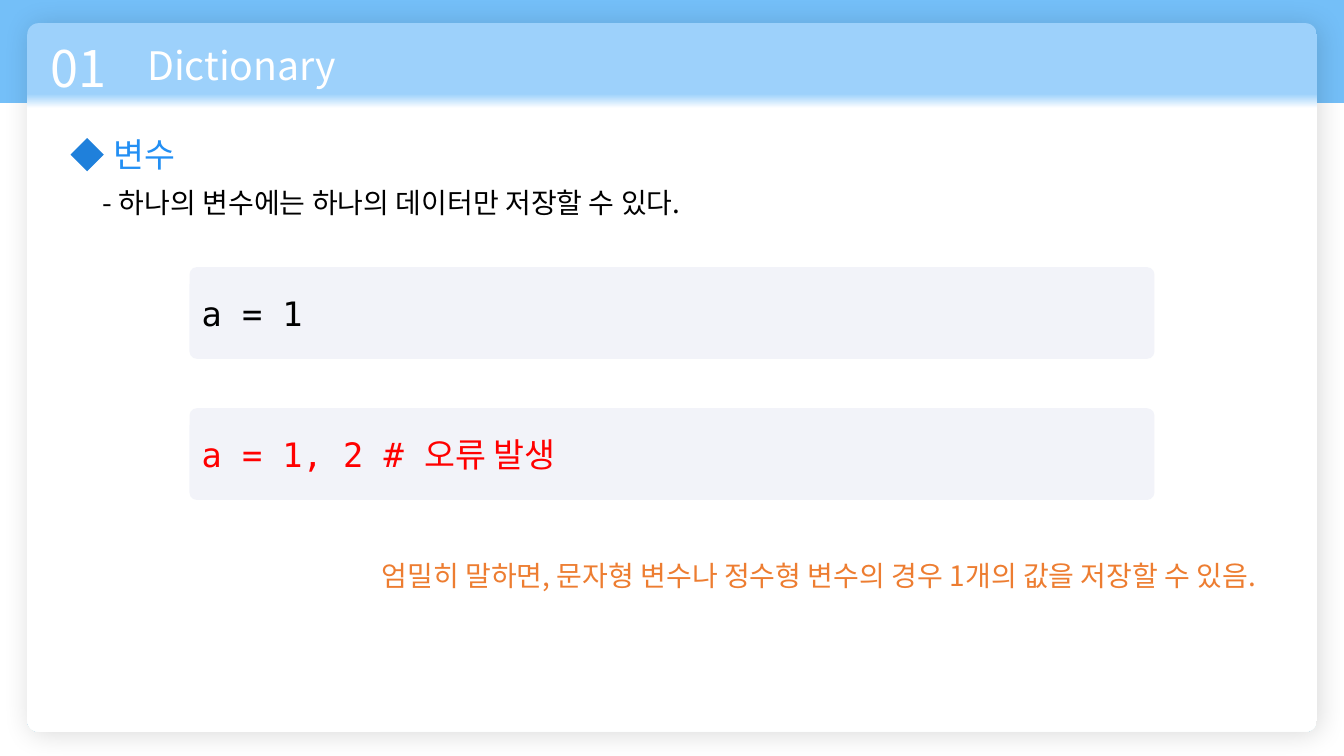
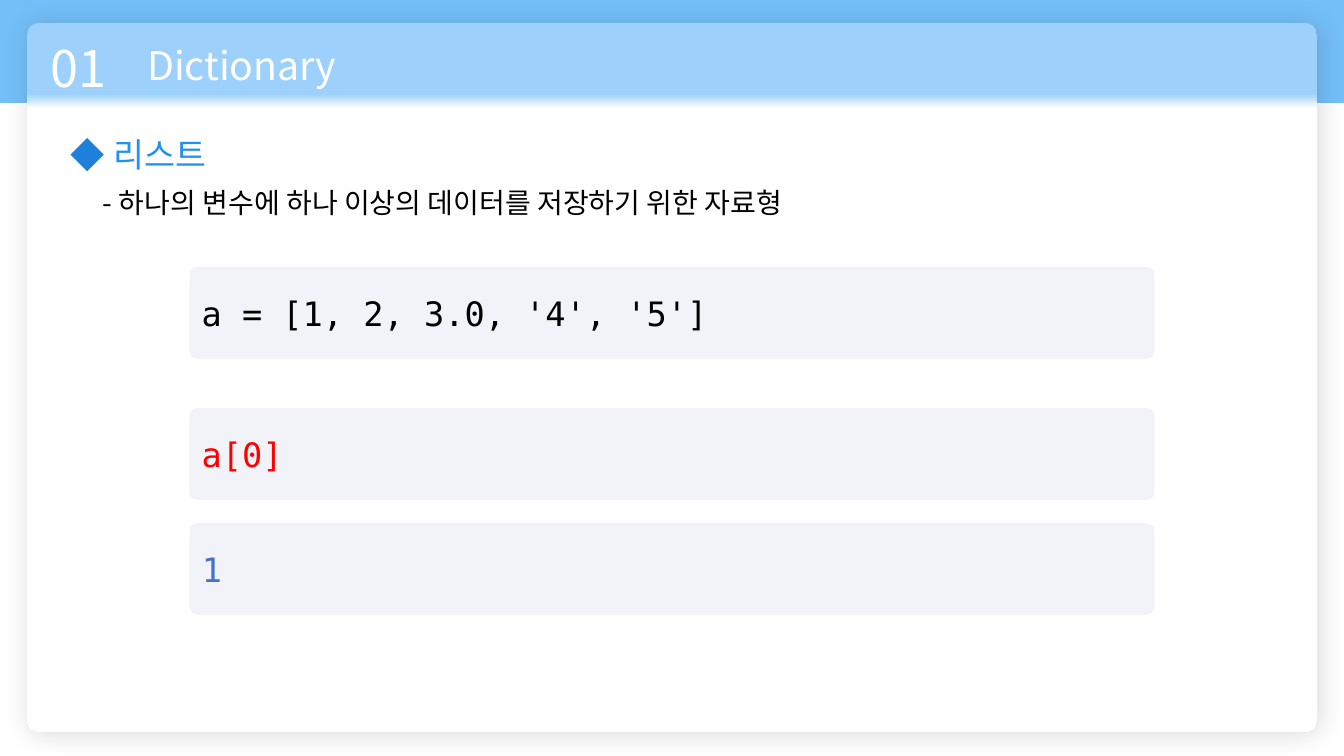
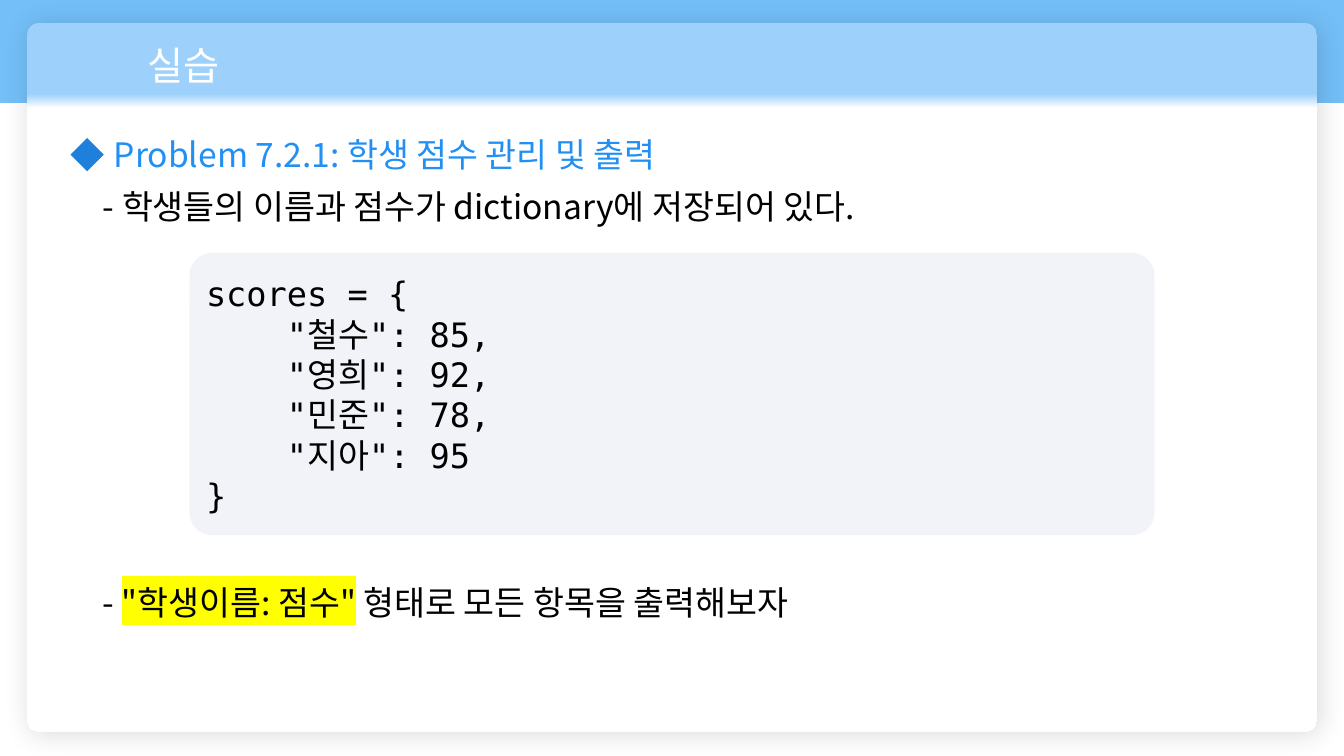
from lxml.etree import SubElement
from pptx import Presentation
from pptx.dml.color import RGBColor
from pptx.enum.shapes import MSO_SHAPE
from pptx.enum.text import MSO_ANCHOR, MSO_AUTO_SIZE, PP_ALIGN
from pptx.oxml import parse_xml
from pptx.oxml.ns import nsdecls, qn
from pptx.util import Inches, Pt

# Shared style
SKY = RGBColor(0x74, 0xBF, 0xF8)
PALE_SKY = RGBColor(0x9D, 0xD1, 0xFB)
HEADING_BLUE = RGBColor(0x22, 0x8F, 0xF4)
DIAMOND_BLUE = RGBColor(0x1F, 0x80, 0xDB)
OUTPUT_BLUE = RGBColor(0x44, 0x72, 0xC4)
CODE_GREY = RGBColor(0xF2, 0xF3, 0xF9)
ORANGE = RGBColor(0xED, 0x7D, 0x31)
RED = RGBColor(0xFF, 0x00, 0x00)
BLACK = RGBColor(0x00, 0x00, 0x00)
WHITE = RGBColor(0xFF, 0xFF, 0xFF)
YELLOW = RGBColor(0xFF, 0xFF, 0x00)
SANS = "Noto Sans CJK KR"
MONO = "DejaVu Sans Mono"


def write(text_frame, lines, size, color, font_name=SANS, align=PP_ALIGN.LEFT):
    """Fill a text frame; a line is a string or a list of (text, highlight)."""
    text_frame.word_wrap = True
    for index, line in enumerate(lines):
        paragraph = text_frame.add_paragraph() if index else text_frame.paragraphs[0]
        properties = paragraph._p.get_or_add_pPr()
        properties.set("marL", "0")
        properties.set("indent", "0")
        SubElement(properties, qn("a:buNone"))
        paragraph.alignment = align
        paragraph.space_before = Pt(0)
        for text, highlight in [(line, None)] if isinstance(line, str) else line:
            run = paragraph.add_run()
            run.text = text
            run.font.size = Pt(size)
            run.font.color.rgb = color
            run.font.name = font_name
            run_properties = run._r.get_or_add_rPr()
            SubElement(run_properties, qn("a:ea")).set("typeface", SANS)
            if highlight is not None:
                run_properties.find(qn("a:solidFill")).addnext(parse_xml(
                    f'<a:highlight {nsdecls("a")}><a:srgbClr val="{highlight}"/></a:highlight>'))


def add_block(slide, kind, left, top, width, height, color):
    """Add a flat shape without outline or shadow."""
    shape = slide.shapes.add_shape(
        kind, Inches(left), Inches(top), Inches(width), Inches(height))
    shape.shadow.inherit = False
    shape.fill.solid()
    shape.fill.fore_color.rgb = color
    shape.line.fill.background()
    return shape


# Slide contents; code boxes are (top, height, corner, color, lines)
SLIDES = [
    {
        "number": "01", "title": "Dictionary", "heading": "변수",
        "body": "- 하나의 변수에는 하나의 데이터만 저장할 수 있다.", "body_size": 20,
        "code": [(2.65, 0.91, 0.08, BLACK, ["a = 1"]),
                 (4.05, 0.91, 0.08, RED, ["a = 1, 2 # 오류 발생"])],
        "notes": [(1.88, 5.49, 10.68, 20, ORANGE, PP_ALIGN.RIGHT,
                   "엄밀히 말하면, 문자형 변수나 정수형 변수의 경우 1개의 값을 저장할 수 있음.")],
    },
    {
        "number": "01", "title": "Dictionary", "heading": "리스트",
        "body": "- 하나의 변수에 하나 이상의 데이터를 저장하기 위한 자료형", "body_size": 20,
        "code": [(2.65, 0.91, 0.08, BLACK, ["a = [1, 2, 3.0, '4', '5']"]),
                 (4.05, 0.91, 0.08, RED, ["a[0]"]),
                 (5.19, 0.91, 0.09, OUTPUT_BLUE, ["1"])],
        "notes": [],
    },
    {
        "number": None, "title": "실습", "heading": "Problem 7.2.1: 학생 점수 관리 및 출력",
        "body": "- 학생들의 이름과 점수가 dictionary에 저장되어 있다.", "body_size": 24,
        "code": [(2.51, 2.8, 0.08, BLACK, [
            "scores = {",
            '    "철수": 85,',
            '    "영희": 92,',
            '    "민준": 78,',
            '    "지아": 95',
            "}"])],
        "notes": [(0.92, 5.72, 9.79, 24, BLACK, PP_ALIGN.LEFT,
                   [("- ", None), ('"학생이름: 점수"', YELLOW),
                    (" 형태로 모든 항목을 출력해보자", None)])],
    },
]

presentation = Presentation()
presentation.slide_width = Inches(13.33)
presentation.slide_height = Inches(7.5)
layout = presentation.slide_layouts[1]

# Layout: title and body positions
for placeholder, left, top, width, height in [
        (layout.placeholders[0], 1.36, 0.36, 4.9, 0.57),
        (layout.placeholders[1], 0.92, 1.79, 9.79, 0.5)]:
    placeholder.left, placeholder.top = Inches(left), Inches(top)
    placeholder.width, placeholder.height = Inches(width), Inches(height)
    placeholder.text_frame.vertical_anchor = MSO_ANCHOR.TOP
    placeholder.text_frame.auto_size = MSO_AUTO_SIZE.NONE

slides = [presentation.slides.add_slide(layout) for _ in SLIDES]

# Layout: band, card and heading diamond, made on a slide and moved behind
band = add_block(slides[0], MSO_SHAPE.RECTANGLE, 0, 0, 13.33, 1.02, SKY)
card = add_block(slides[0], MSO_SHAPE.ROUNDED_RECTANGLE, 0.27, 0.23, 12.79, 7.03, WHITE)
diamond = add_block(slides[0], MSO_SHAPE.DIAMOND, 0.7, 1.37, 0.33, 0.33, DIAMOND_BLUE)
card.adjustments[0] = 0.016
card.fill.gradient()
card.fill.gradient_angle = 270
for stop, position, color in zip(card.fill.gradient_stops, (0.1, 0.12), (PALE_SKY, WHITE)):
    stop.position = position
    stop.color.rgb = color
card.element.spPr.find(qn("a:effectLst")).append(parse_xml(
    f'<a:outerShdw {nsdecls("a")} blurRad="{Pt(20)}" dist="{Pt(3)}" dir="2700000" '
    'algn="tl" rotWithShape="0"><a:srgbClr val="000000"><a:alpha val="14000"/>'
    '</a:srgbClr></a:outerShdw>'))
for index, shape in enumerate((band, card, diamond)):
    shape.element.nvSpPr.cNvPr.set("id", str(20 + index))
    layout.shapes.element.insert(2 + index, shape.element)

for slide, content in zip(slides, SLIDES):
    # Title and body
    write(slide.shapes.title.text_frame, [content["title"]], 28, WHITE)
    write(slide.placeholders[1].text_frame, [content["body"]], content["body_size"], BLACK)

    # Section number, heading and remarks
    labels = [(1.03, 1.28, 6.98, 24, HEADING_BLUE, PP_ALIGN.LEFT, content["heading"])]
    if content["number"]:
        labels.append((0.4, 0.32, 1.02, 36, WHITE, PP_ALIGN.LEFT, content["number"]))
    for left, top, width, size, color, align, line in labels + content["notes"]:
        text_box = slide.shapes.add_textbox(
            Inches(left), Inches(top), Inches(width), Inches(0.1 + size / 60))
        write(text_box.text_frame, [line], size, color, align=align)

    # Code boxes
    for top, height, corner, color, lines in content["code"]:
        code_box = add_block(
            slide, MSO_SHAPE.ROUNDED_RECTANGLE, 1.88, top, 9.57, height, CODE_GREY)
        code_box.adjustments[0] = corner
        code_box.text_frame.vertical_anchor = MSO_ANCHOR.MIDDLE
        write(code_box.text_frame, lines, 24, color, MONO)

presentation.save("out.pptx")
